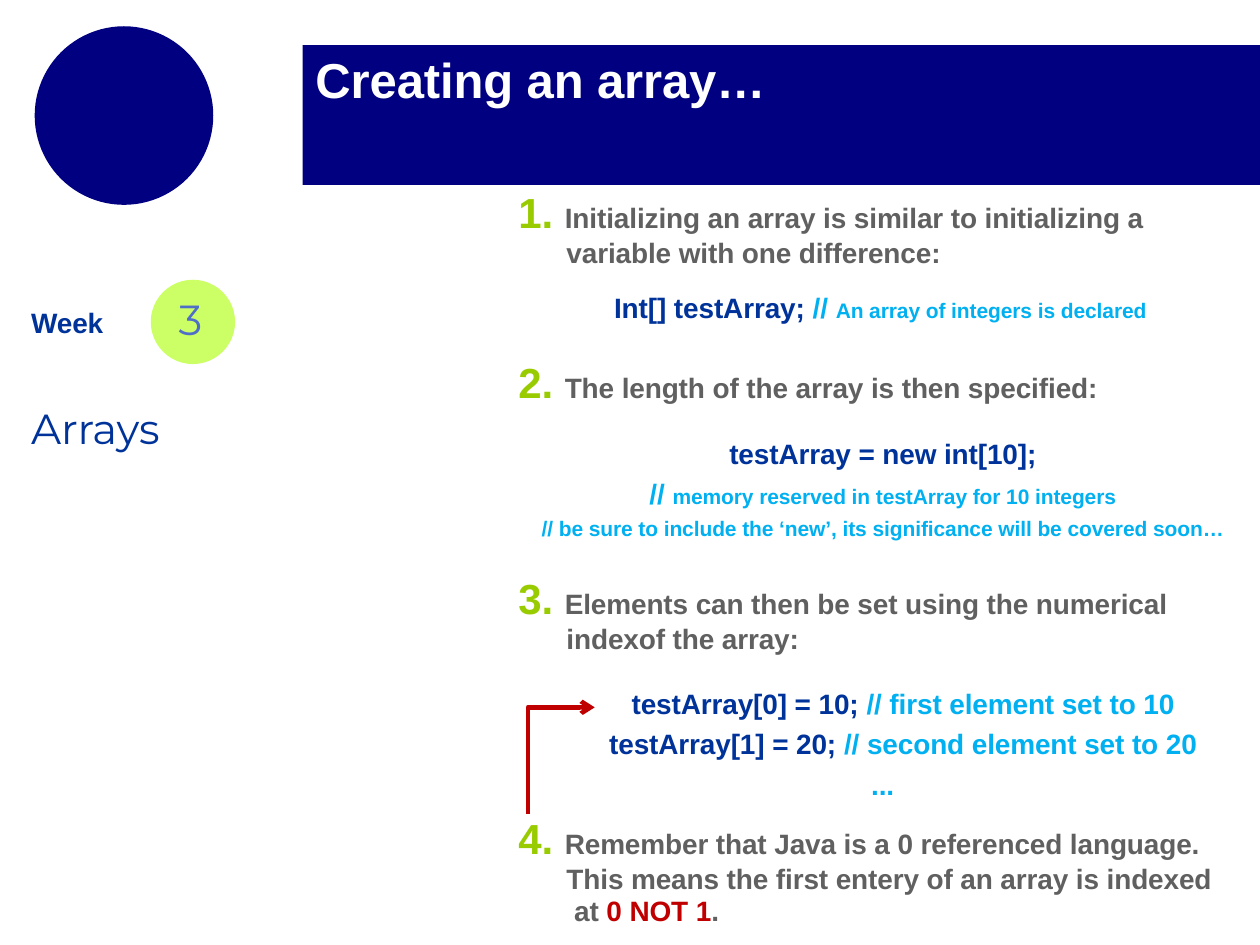
from dataclasses import dataclass

from pptx import Presentation
from pptx.dml.color import RGBColor
from pptx.enum.shapes import MSO_SHAPE
from pptx.enum.text import MSO_ANCHOR, MSO_AUTO_SIZE, PP_ALIGN
from pptx.oxml.ns import qn
from pptx.util import Cm, Pt
from lxml import etree

RECT, OVAL = MSO_SHAPE.RECTANGLE, MSO_SHAPE.OVAL
TOP, FIXED = MSO_ANCHOR.TOP, MSO_AUTO_SIZE.NONE
LEFT, MID = PP_ALIGN.LEFT, PP_ALIGN.CENTER


@dataclass(frozen=True)
class Style:
    size: int
    color: str
    bold: bool = True
    font: str = "Arial"


class Theme:
    navy, lime, red = "000080", "CCFF66", "C00000"
    title = Style(28, "FFFFFF")
    week = Style(16, "003399")
    digit = Style(24, "4E6EC8", False, "Montserrat")
    topic = Style(24, "003399", False, "Montserrat")
    num = Style(24, "99CC00")
    body = Style(16, "606060")
    code = Style(16, "003399")
    note = Style(16, "00B0F0")
    small = Style(12, "00B0F0")
    alert = Style(16, red)
    track = -5  # letter spacing, hundredths of a point


@dataclass
class Para:
    runs: list
    left: float = 0.03
    first: float = 0
    before: float = 0
    line: object = None
    align: object = LEFT


def add_run(para, text, style):
    """Add one styled run; a newline in the text becomes a line break."""
    for i, part in enumerate(text.split("\n")):
        if i:
            para.add_line_break()
        if not part:
            continue
        run = para.add_run()
        run.text = part
        font = run.font
        font.name, font.size, font.bold = style.font, Pt(style.size), style.bold
        font.color.rgb = RGBColor.from_string(style.color)
        font._element.set("spc", str(Theme.track))


def fill_text(shape, paras, top=0.03):
    frame = shape.text_frame
    frame.word_wrap, frame.auto_size = True, FIXED
    frame.vertical_anchor = TOP
    frame.margin_left = frame.margin_right = frame.margin_bottom = 0
    frame.margin_top = Cm(top)
    for i, item in enumerate(paras):
        para = frame.add_paragraph() if i else frame.paragraphs[0]
        para.alignment = item.align
        para.space_before = Pt(item.before)
        if item.line:
            para.line_spacing = item.line
        props = para._p.get_or_add_pPr()
        props.set("marL", str(Cm(item.left)))
        props.set("indent", str(Cm(item.first)))
        for text, style in item.runs:
            add_run(para, text, style)


def add_text(slide, x, y, w, h, paras, top=0.03):
    box = slide.shapes.add_textbox(Cm(x), Cm(y), Cm(w), Cm(h))
    fill_text(box, paras, top)


def add_solid(slide, kind, x, y, w, h, color):
    shape = slide.shapes.add_shape(kind, Cm(x), Cm(y), Cm(w), Cm(h))
    shape.shadow.inherit = False
    shape.fill.solid()
    shape.fill.fore_color.rgb = RGBColor.from_string(color)
    shape.line.fill.background()
    return shape


def draw_side(slide, x, y):
    """Week number and topic."""
    add_solid(slide, OVAL, x + 0.1, y, 3.6, 3.6, Theme.navy)
    add_solid(slide, OVAL, x + 2.44, y + 5.11, 1.7, 1.7, Theme.lime)
    labels = [
        (0, 5.59, 2, 0.74, "Week", Theme.week),
        (2.97, 5.36, 0.8, 1.1, "3", Theme.digit),
        (0, 7.55, 5.13, 1.1, "Arrays", Theme.topic),
    ]
    for dx, dy, w, h, text, style in labels:
        add_text(slide, x + dx, y + dy, w, h, [Para([(text, style)], before=1)])


def draw_head(slide, x, y, w, h):
    """Title on its bar."""
    bar = add_solid(slide, RECT, x, y, w, h, Theme.navy)
    title = slide.shapes.title
    title._element.addprevious(bar._element)
    title.left, title.top = Cm(x + 0.23), Cm(y + 0.05)
    title.width, title.height = Cm(9.3), Cm(1.25)
    fill_text(title, [Para([("Creating an array…", Theme.title)], before=1)])


def draw_steps(slide, x, y, w):
    """Numbered steps with their code samples."""
    t = Theme
    # Step 1
    add_text(slide, x, y, w, 1.42, [
        Para([("1. ", t.num),
              ("Initializing an array is similar to initializing a", t.body)],
             line=Pt(20.9)),
        Para([("variable with one difference:", t.body)], 1, line=Pt(18.3)),
    ], 0)
    add_text(slide, x + 1.93, y + 1.78, w - 1.93, 0.74, [
        Para([("Int[] testArray; ", t.code), ("// ", t.note),
              ("An array of integers is declared", t.small)], before=1),
    ])
    # Step 2
    add_text(slide, x, y + 3.4, w, 3.51, [
        Para([("2. ", t.num),
              ("The length of the array is then specified:", t.body)],
             line=Pt(21.8)),
        Para([("testArray = new int[10];", t.code)], 0.38, 0, 16.5, align=MID),
        Para([("// ", t.note),
              ("memory reserved in testArray for 10 integers", t.small)],
             0.38, 0, 3.8, align=MID),
        Para([("// be sure to include the ‘new’, its significance "
               "will be covered soon…", t.small)], 0.38, 0, 3.1, align=MID),
    ], 0)
    # Step 3
    add_text(slide, x, y + 7.77, w, 1.42, [
        Para([("3. ", t.num),
              ("Elements can then be set using the numerical", t.body)],
             line=Pt(21.1)),
        Para([("indexof the array:", t.body)], 1, line=Pt(18.4)),
    ], 0)
    # Samples of step 3, then step 4
    add_text(slide, x, y + 9.63, w - 0.21, 5.08, [
        Para([("testArray[0] = 10; ", t.code),
              ("// first element set to 10\n", t.note),
              ("testArray[1] = 20; ", t.code),
              ("// second element set to 20", t.note)], 1.4, 0, 1, 1.2, MID),
        Para([("...", t.note)], 0.58, 0, 4.1, align=MID),
        Para([("4. ", t.num),
              ("Remember that Java is a 0 referenced language.\n"
               "This means the first entery of an array is indexed\n at ", t.body),
              ("0 NOT 1", t.alert), (".", t.body)], 1, -0.97, 8.4, 0.96),
    ])
    draw_link(slide, x + 0.22, y + 10.22, 1.35, 2.15)


def draw_link(slide, x, y, w, h):
    """Bent arrow from step 4 up to the first element."""
    pen = slide.shapes.build_freeform(Cm(x), Cm(y + h))
    pen.add_line_segments([(Cm(x), Cm(y)), (Cm(x + w), Cm(y))], close=False)
    arrow = pen.convert_to_shape()
    arrow.shadow.inherit = False
    arrow.fill.background()
    arrow.line.color.rgb = RGBColor.from_string(Theme.red)
    arrow.line.width = Pt(2.5)
    etree.SubElement(arrow.line._get_or_add_ln(), qn("a:tailEnd"), type="arrow")


def main():
    deck = Presentation()
    deck.slide_width, deck.slide_height = Cm(25.4), Cm(19.05)
    slide = deck.slides.add_slide(deck.slide_layouts[5])
    draw_head(slide, 6.1, 0.91, 19.3, 2.82)
    draw_side(slide, 0.6, 0.53)
    draw_steps(slide, 10.42, 4.04, 14.38)
    deck.save("out.pptx")


if __name__ == "__main__":
    main()
